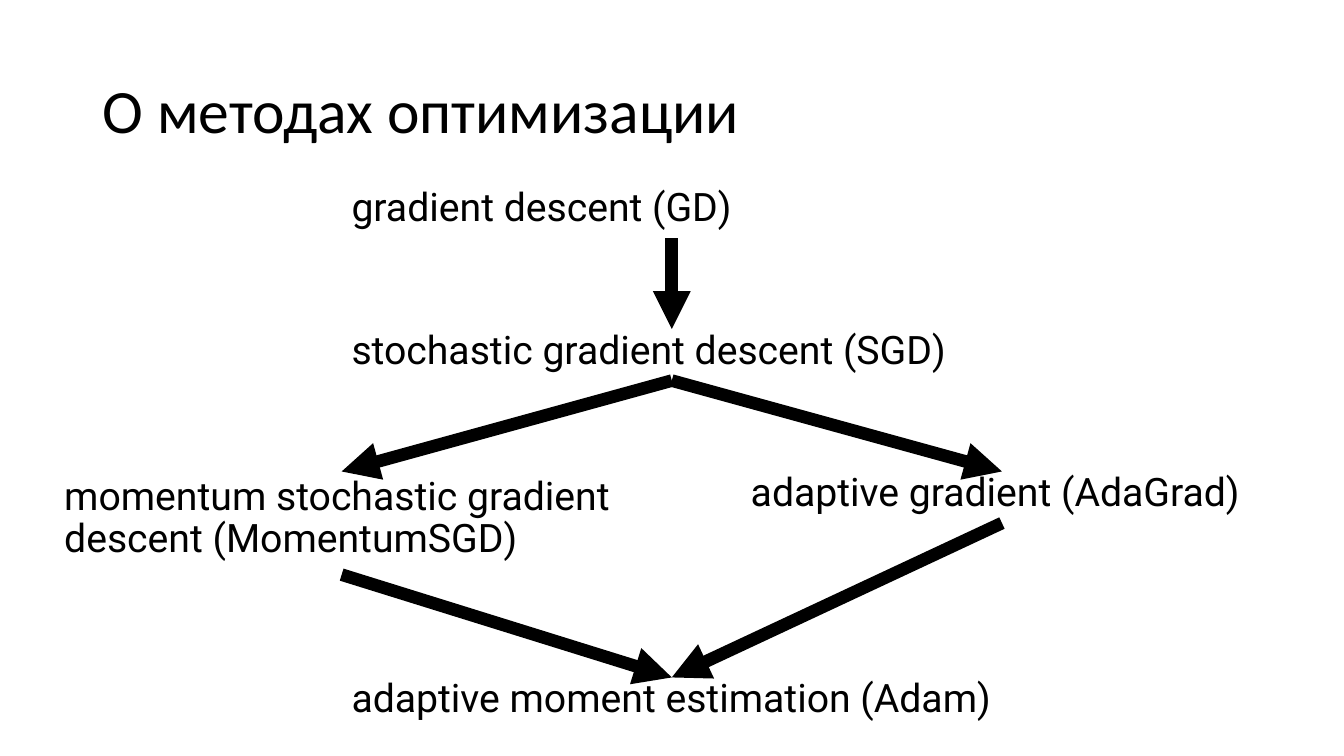
from dataclasses import dataclass

from lxml.etree import SubElement
from pptx import Presentation
from pptx.dml.color import RGBColor
from pptx.enum.shapes import MSO_CONNECTOR
from pptx.enum.text import MSO_ANCHOR
from pptx.oxml.ns import qn
from pptx.util import Cm, Pt


@dataclass(frozen=True)
class Theme:
    ink: RGBColor = RGBColor(0, 0, 0)
    title_font: str = "Calibri"
    label_font: str = "Roboto"
    title_size: int = 44
    label_size: int = 28
    arrow_width: int = 9


@dataclass(frozen=True)
class Method:
    text: str
    center: float
    top: float
    width: float = 16.64
    height: float = 1.3
    line_spacing: float = 0.8

    @property
    def left(self):
        return self.center - self.width / 2

    @property
    def bottom(self):
        return self.top + self.height


def apply_format(target, values):
    for name, value in values.items():
        setattr(target, name, value)


class SlideBuilder:
    def __init__(self, slide, theme):
        self.slide = slide
        self.theme = theme

    def text(self, text, left, top, width, height, font, size, anchor, spacing):
        shape = self.slide.shapes.add_textbox(Cm(left), Cm(top), Cm(width), Cm(height))
        frame = shape.text_frame
        apply_format(frame, {"word_wrap": True, "vertical_anchor": anchor})
        paragraph = frame.paragraphs[0]
        apply_format(paragraph, spacing)
        run = paragraph.add_run()
        run.text = text
        apply_format(run.font, {"name": font, "size": Pt(size)})
        run.font.color.rgb = self.theme.ink

    def title(self, text):
        self.text(text, 2.33, 1.01, 29.21, 3.68, self.theme.title_font,
                  self.theme.title_size, MSO_ANCHOR.MIDDLE, {"line_spacing": 0.9})

    def method(self, method):
        spacing = {"line_spacing": method.line_spacing, "space_before": Pt(10)}
        self.text(method.text, method.left, method.top, method.width, method.height,
                  self.theme.label_font, self.theme.label_size, MSO_ANCHOR.TOP, spacing)

    def arrow(self, source, target):
        connector = self.slide.shapes.add_connector(
            MSO_CONNECTOR.STRAIGHT, Cm(source.center), Cm(source.bottom),
            Cm(target.center), Cm(target.top))
        connector.line.width = Pt(self.theme.arrow_width)
        connector.line.color.rgb = self.theme.ink
        SubElement(connector.line._get_or_add_ln(), qn("a:tailEnd"), type="triangle")
        SubElement(connector._element.spPr, qn("a:effectLst"))


def main():
    presentation = Presentation()
    apply_format(presentation, {"slide_width": Cm(33.87), "slide_height": Cm(19.05)})
    slide = presentation.slides.add_slide(presentation.slide_layouts[6])
    builder = SlideBuilder(slide, Theme())

    left, middle, right = (16.93 + offset for offset in (-8.32, 0, 8.32))
    methods = {
        "gd": Method("gradient descent (GD)", middle, 4.7),
        "sgd": Method("stochastic gradient descent (SGD)", middle, 8.29),
        "momentum": Method("momentum stochastic gradient descent (MomentumSGD)",
                           left, 11.88, 14.48, 2.6, 0.9),
        "adagrad": Method("adaptive gradient (AdaGrad)", right, 11.88, 13.16),
        "adam": Method("adaptive moment estimation (Adam)", middle, 17.07),
    }
    successions = [
        ("gd", "sgd"),
        ("sgd", "momentum"),
        ("sgd", "adagrad"),
        ("momentum", "adam"),
        ("adagrad", "adam"),
    ]

    builder.title("О методах оптимизации")
    for method in methods.values():
        builder.method(method)
    for source, target in successions:
        builder.arrow(methods[source], methods[target])

    presentation.save("out.pptx")


if __name__ == "__main__":
    main()
